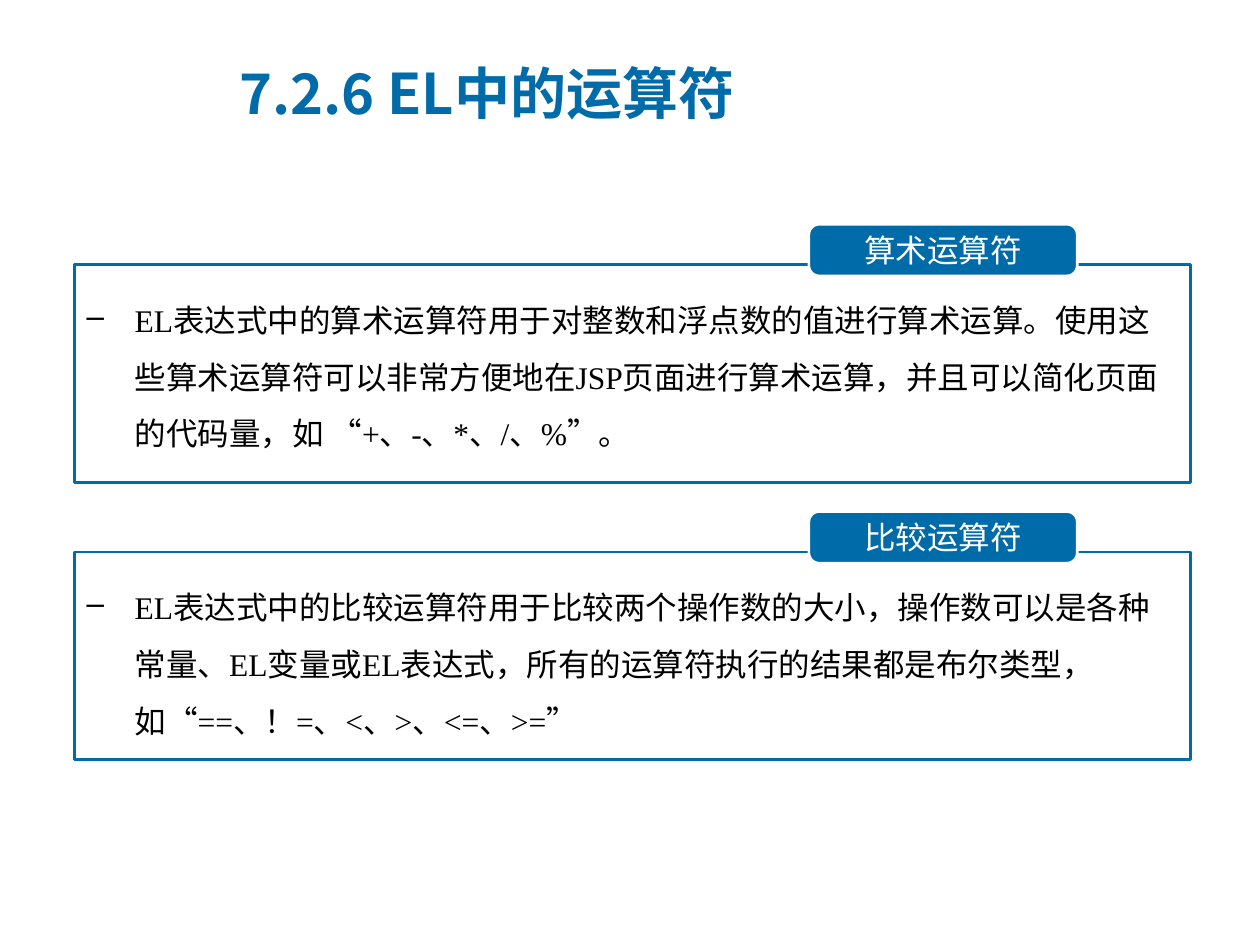
"""Build a slide on the arithmetic and comparison operators of EL."""
import pptx
import pptx.dml.color
import pptx.enum.shapes
import pptx.enum.text
import pptx.oxml.ns
import pptx.util
from lxml import etree

Inches = pptx.util.Inches
Pt = pptx.util.Pt
RGBColor = pptx.dml.color.RGBColor
Shape = pptx.enum.shapes.MSO_SHAPE
Align = pptx.enum.text.PP_ALIGN
Anchor = pptx.enum.text.MSO_ANCHOR
qn = pptx.oxml.ns.qn

BLUE = RGBColor(0x00, 0x6B, 0xA9)
WHITE = RGBColor(0xFF, 0xFF, 0xFF)
BLACK = RGBColor(0x00, 0x00, 0x00)
CJK_FONT = "Noto Sans CJK SC"
LATIN_FONT = "Times New Roman"


class SlideBuilder:
    """Hold the style and the current slide."""

    outline = Pt(1.5)
    title_font = {"size": Pt(32), "name": CJK_FONT, "bold": True}
    label_font = {"size": Pt(18), "name": CJK_FONT}
    body_font = {"size": Pt(18), "name": LATIN_FONT}

    def __init__(self, slide):
        self.slide = slide

    def set_wording(self, frame, wording, font, color, frame_format, paragraph_format):
        """Put one formatted paragraph into a text frame."""
        paragraph = frame.paragraphs[0]
        run = paragraph.add_run()
        run.text = wording
        for target, values in (
            (frame, {"word_wrap": True, **frame_format}),
            (paragraph, paragraph_format),
            (run.font, font),
        ):
            for name, value in values.items():
                setattr(target, name, value)
        run.font.color.rgb = color
        east_asian = etree.Element(qn("a:ea"), typeface=CJK_FONT)
        run.font._element.find(qn("a:latin")).addnext(east_asian)
        return paragraph

    def title(self, wording, left, top, width, height):
        """Add the slide heading."""
        heading = self.slide.shapes.add_textbox(left, top, width, height)
        self.set_wording(heading.text_frame, wording, self.title_font, BLUE,
                         {"vertical_anchor": Anchor.MIDDLE}, {})

    def description(self, wording, left, top, width, height):
        """Add a dash-bulleted explanation."""
        explanation = self.slide.shapes.add_textbox(left, top, width, height)
        paragraph = self.set_wording(explanation.text_frame, wording, self.body_font,
                                     BLACK, {}, {"line_spacing": 1.5})
        properties = paragraph._p.get_or_add_pPr()
        properties.set("marL", str(Inches(0.38)))
        properties.set("indent", str(-Inches(0.38)))
        etree.SubElement(properties, qn("a:buChar"), char="–")

    def frame(self, left, top, width, height):
        """Add an unfilled outline."""
        border = self.slide.shapes.add_shape(Shape.RECTANGLE, left, top, width, height)
        border.shadow.inherit = False
        border.fill.background()
        border.line.color.rgb = BLUE
        border.line.width = self.outline

    def label(self, wording, left, top, width, height):
        """Add a rounded heading tab."""
        tab = self.slide.shapes.add_shape(
            Shape.ROUNDED_RECTANGLE, left, top, width, height)
        tab.adjustments[0] = 0.2
        tab.shadow.inherit = False
        tab.fill.solid()
        tab.fill.fore_color.rgb = BLUE
        tab.line.color.rgb = WHITE
        tab.line.width = self.outline
        margins = {"margin_left": Inches(0.24), "margin_right": Inches(0.24),
                   "margin_top": Inches(0.06), "margin_bottom": Inches(0.06)}
        self.set_wording(tab.text_frame, wording, self.label_font, WHITE,
                         {"vertical_anchor": Anchor.MIDDLE, **margins},
                         {"alignment": Align.CENTER})

    def section(self, name, wording, top, frame_height, text_width):
        """Add an outlined explanation with its heading tab."""
        left = Inches(0.59)
        self.description(wording, left, top + Inches(0.09), text_width, Inches(1.29))
        self.frame(left, top, Inches(8.86), frame_height)
        self.label(name, Inches(6.42), top - Inches(0.32), Inches(2.13), Inches(0.41))


SECTIONS = (
    ("算术运算符",
     "EL表达式中的算术运算符用于对整数和浮点数的值进行算术运算。"
     "使用这些算术运算符可以非常方便地在JSP页面进行算术运算，"
     "并且可以简化页面的代码量，如 “+、-、*、/、%”。",
     Inches(2.1), Inches(1.73), Inches(8.86)),
    ("比较运算符",
     "EL表达式中的比较运算符用于比较两个操作数的大小，"
     "操作数可以是各种常量、EL变量或EL表达式，"
     "所有的运算符执行的结果都是布尔类型，如“==、！=、<、>、<=、>=”",
     Inches(4.38), Inches(1.65), Inches(8.74)),
)


def main():
    """Build and save the presentation."""
    presentation = pptx.Presentation()
    presentation.slide_width = Inches(10)
    presentation.slide_height = Inches(7.5)
    builder = SlideBuilder(
        presentation.slides.add_slide(presentation.slide_layouts[6]))
    for section in SECTIONS:
        builder.section(*section)
    builder.title("7.2.6 EL中的运算符",
                  Inches(1.8), Inches(0.43), Inches(6.78), Inches(0.61))
    presentation.save("out.pptx")


if __name__ == "__main__":
    main()
